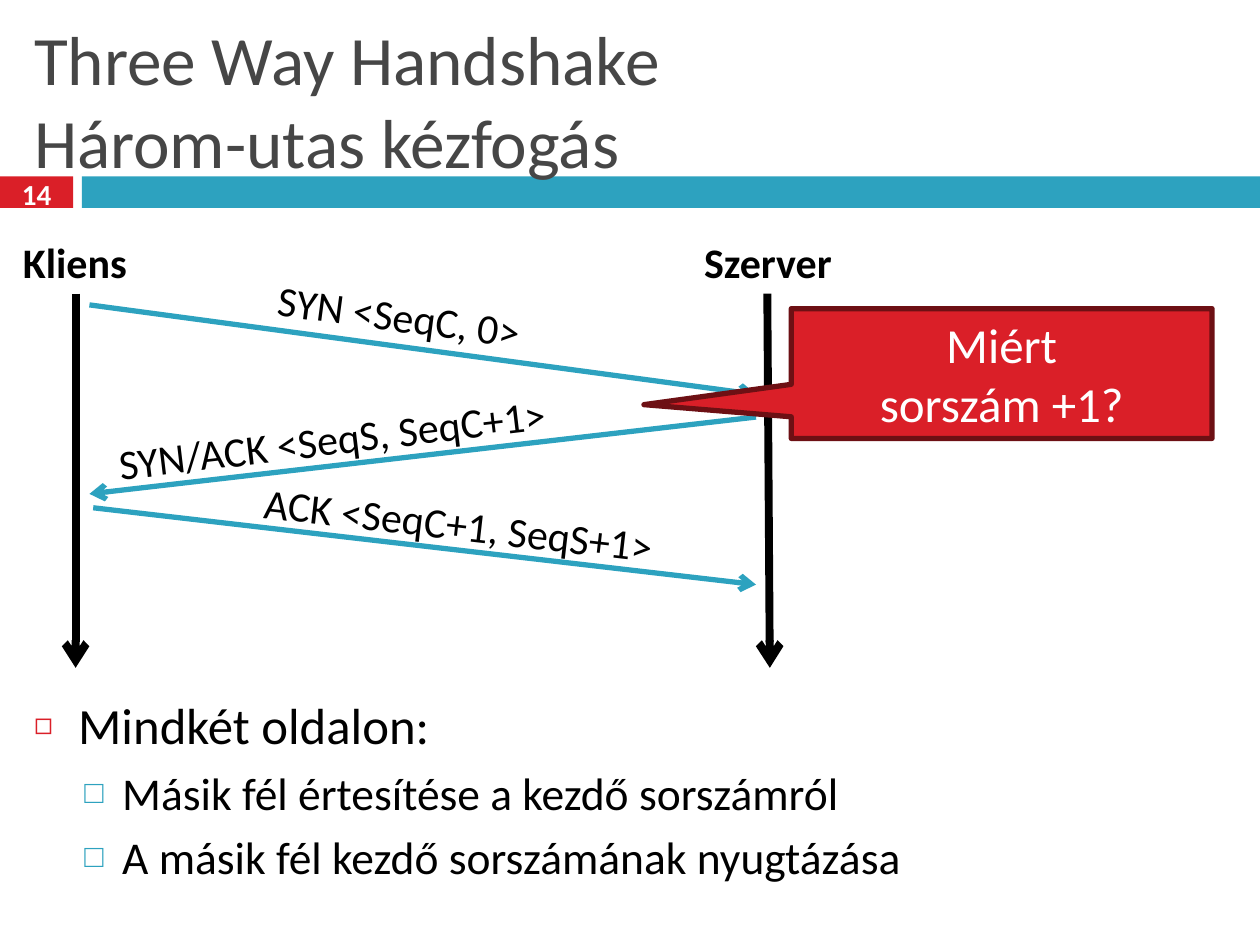
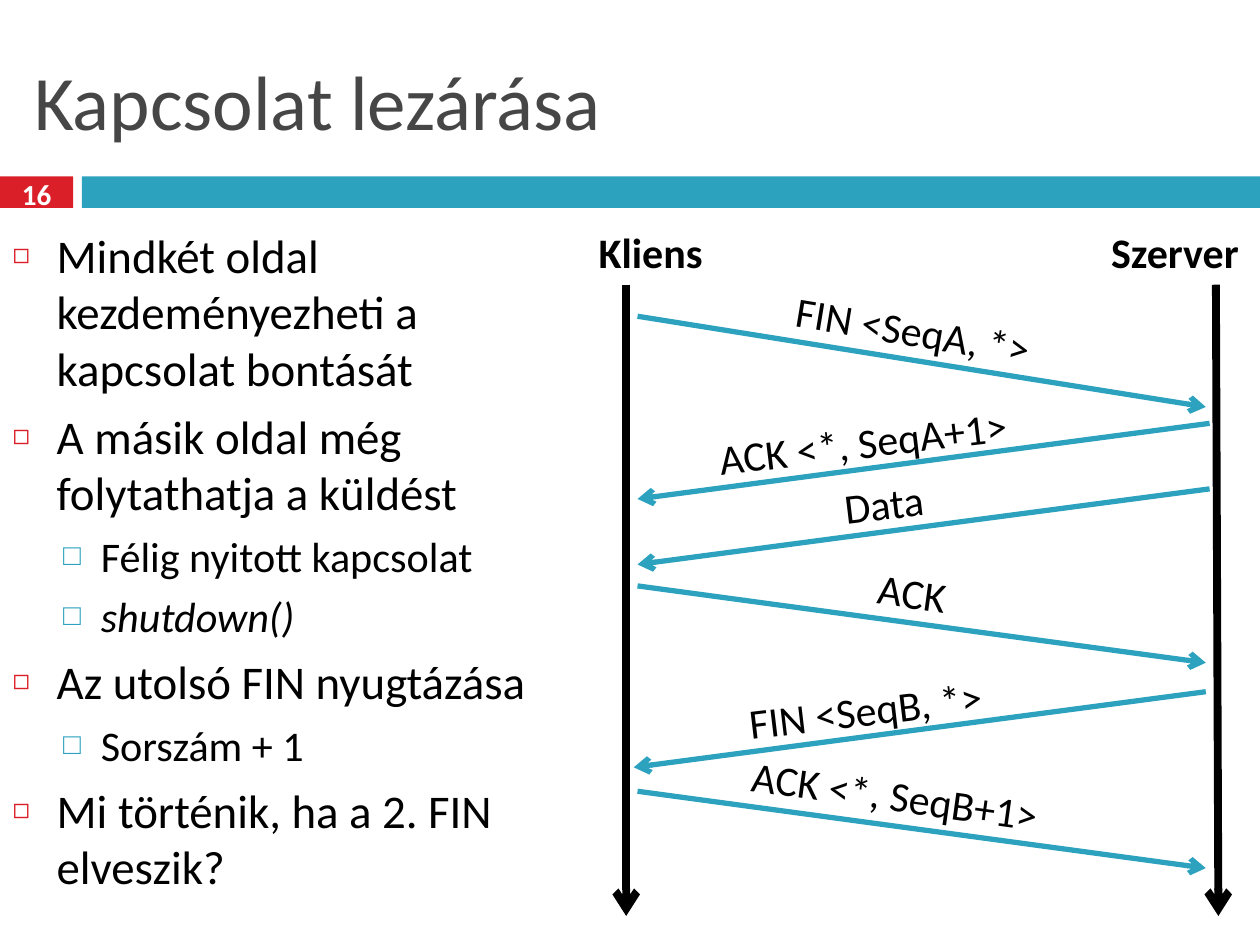
import pptx
import pptx.util
import pptx.dml.color
import pptx.enum.shapes
import pptx.enum.text
import pptx.oxml
import pptx.oxml.ns
import lxml.etree

Inches = pptx.util.Inches
Pt = pptx.util.Pt
SHAPE = pptx.enum.shapes.MSO_SHAPE
ALIGN = pptx.enum.text.PP_ALIGN
ANCHOR = pptx.enum.text.MSO_ANCHOR
AUTOSIZE = pptx.enum.text.MSO_AUTO_SIZE
qn = pptx.oxml.ns.qn

# Shared look
FONT = "Calibri"
RED, DARK_RED, BLUE = "DA1F28", "6D1014", "2DA2BF"
BLACK, WHITE, GREY = "000000", "FFFFFF", "464646"
# Per list level: left indent, hanging, space before, bullet, its colour and size
LEVELS = [(0.35, 0.35, 7, "◻", RED, 60),
          (0.70, 0.30, 5.5, "□", BLUE, 70)]


def paint(target, colour):
    """Give a fill, line fill or font a solid colour from a hex string."""
    if hasattr(target, "solid"):
        target.solid()
        target = target.fore_color
    else:
        target = target.color
    target.rgb = pptx.dml.color.RGBColor.from_string(colour)


def write(shape, text, size, colour=BLACK, bold=False, align=ALIGN.LEFT, anchor=ANCHOR.TOP, wrap=True):
    """Set the text of a shape and format all its runs."""
    tf = shape.text_frame
    tf.text = text
    tf.word_wrap = wrap
    tf.auto_size = AUTOSIZE.NONE
    tf.vertical_anchor = anchor
    for p in tf.paragraphs:
        p.alignment = align
        for r in p.runs:
            r.font.name = FONT
            r.font.size = Pt(size)
            r.font.bold = bold
            paint(r.font, colour)


# Content of the slides; lifelines and messages are (x1, y1, x2, y2),
# a message label is (text, left, top, width, rotation)
slides = [
    dict(
        number="14", title="Three Way Handshake\nHárom-utas kézfogás", title_size=39.6,
        body_at=(0.17, 5.46, 9.67, 1.88), sizes=(29, 26),
        body=[(0, "Mindkét oldalon:"),
              (1, "Másik fél értesítése a kezdő sorszámról"),
              (1, "A másik fél kezdő sorszámának nyugtázása")],
        lifelines=[(0.6, 2.33, 0.6, 5.3), (6.09, 2.33, 6.11, 5.3)],
        hosts=[("Kliens", 0.06, 1.83, 1.07), ("Szerver", 5.47, 1.83, 1.25)],
        messages=[
            ((0.71, 2.42, 6, 3.13), ("SYN <SeqC, 0>", 2.1, 2.29, 2.69, 7.6)),
            ((6, 3.31, 0.71, 3.92), ("SYN/ACK <SeqS, SeqC+1>", 0.83, 3.18, 4.4, -6.9)),
            ((0.74, 4.03, 6, 4.64), ("ACK <SeqC+1, SeqS+1>", 1.99, 3.95, 4, 6.6))],
        callout="Miért\nsorszám +1?"),
    dict(
        number="16", title="Kapcsolat lezárása", title_size=44,
        body_at=(0, 1.75, 4.59, 5.58), sizes=(26.8, 24.1),
        body=[(0, "Mindkét oldal kezdeményezheti a kapcsolat bontását"),
              (0, "A másik oldal még folytathatja a küldést"),
              (1, "Félig nyitott kapcsolat"),
              (1, "shutdown()"),
              (0, "Az utolsó FIN nyugtázása"),
              (1, "Sorszám + 1"),
              (0, "Mi történik, ha a 2. FIN elveszik?")],
        lifelines=[(4.97, 2.26, 4.97, 7.27), (9.65, 2.26, 9.67, 7.27)],
        hosts=[("Kliens", 4.63, 1.75, 1.07), ("Szerver", 8.7, 1.75, 1.25)],
        messages=[
            ((5.06, 2.51, 9.57, 3.23), ("FIN <SeqA, *>", 6.21, 2.39, 2.37, 9.4)),
            ((9.6, 3.36, 5.06, 3.96), ("ACK <*, SeqA+1>", 5.6, 3.23, 2.91, -6.9)),
            ((5.06, 4.65, 9.57, 5.26), ("ACK", 6.87, 4.46, 0.89, 8)),
            ((9.6, 3.88, 5.06, 4.48), ("Data", 6.6, 3.74, 0.91, -6.9)),
            ((9.57, 5.49, 5.03, 6.09), ("FIN <SeqB, *>", 5.84, 5.36, 2.37, -6.9)),
            ((5.06, 6.28, 9.57, 6.89), ("ACK <*, SeqB+1>", 5.86, 6.09, 2.91, 8))],
        callout=None),
]

prs = pptx.Presentation()
prs.slide_width, prs.slide_height = Inches(10), Inches(7.5)
layout = prs.slide_layouts[1]

for index, content in enumerate(slides):
    s = prs.slides.add_slide(layout)

    # Bands, made once and moved to the shared layout
    if index == 0:
        for left, width, colour in [(0, 0.58, RED), (0.65, 9.35, BLUE)]:
            band = s.shapes.add_shape(SHAPE.RECTANGLE, Inches(left), Inches(1.4), Inches(width), Inches(0.25))
            band.shadow.inherit = False
            paint(band.fill, colour)
            band.line.fill.background()
            layout.shapes.element.insert(2, band.element)

    # Title
    title, body = s.placeholders
    title.left, title.top, title.width, title.height = map(Inches, (0.17, 0.25, 9.67, 1.08))
    write(title, content["title"], content["title_size"], GREY, anchor=ANCHOR.MIDDLE)

    # Slide number
    number = s.shapes.add_textbox(Inches(0), Inches(1.37), Inches(0.58), Inches(0.33))
    write(number, content["number"], 16.6, WHITE, True, ALIGN.CENTER, ANCHOR.MIDDLE)

    # Bulleted list
    body.left, body.top, body.width, body.height = map(Inches, content["body_at"])
    write(body, "\n".join(text for level, text in content["body"]), content["sizes"][0])
    for p, (level, text) in zip(body.text_frame.paragraphs, content["body"]):
        indent, hanging, before, bullet, colour, percent = LEVELS[level]
        p.level = level
        p.space_before = Pt(before)
        p.runs[0].font.size = Pt(content["sizes"][level])
        if text == "shutdown()":
            p.runs[0].font.italic = True
        pPr = p._p.get_or_add_pPr()
        pPr.set("marL", str(Inches(indent)))
        pPr.set("indent", str(-Inches(hanging)))
        clr = lxml.etree.SubElement(pPr, qn("a:buClr"))
        lxml.etree.SubElement(clr, qn("a:srgbClr"), val=colour)
        lxml.etree.SubElement(pPr, qn("a:buSzPct"), val=str(percent * 1000))
        lxml.etree.SubElement(pPr, qn("a:buChar"), char=bullet)

    # Lifelines and message arrows
    arrows = [(ends, BLACK, 4.5) for ends in content["lifelines"]]
    arrows += [(ends, BLUE, 3) for ends, label in content["messages"]]
    for ends, colour, weight in arrows:
        arrow = s.shapes.add_connector(pptx.enum.shapes.MSO_CONNECTOR.STRAIGHT, *map(Inches, ends))
        paint(arrow.line.fill, colour)
        arrow.line.width = Pt(weight)
        lxml.etree.SubElement(arrow.line._get_or_add_ln(), qn("a:tailEnd"), type="arrow")
        lxml.etree.SubElement(arrow.element.spPr, qn("a:effectLst"))

    # Host names and message labels
    labels = [(host + (0,), True, ALIGN.CENTER) for host in content["hosts"]]
    labels += [(label, False, ALIGN.LEFT) for ends, label in content["messages"]]
    for (text, left, top, width, rotation), bold, align in labels:
        label = s.shapes.add_textbox(Inches(left), Inches(top), Inches(width), Inches(0.5))
        label.rotation = rotation
        write(label, text, 24, bold=bold, align=align, wrap=False)

    # Callout question
    if content["callout"]:
        callout = s.shapes.add_shape(SHAPE.RECTANGULAR_CALLOUT, Inches(6.28), Inches(2.45), Inches(3.34), Inches(1.03))
        callout.adjustments[0], callout.adjustments[1] = -0.85, 0.24
        callout.shadow.inherit = False
        paint(callout.fill, RED)
        paint(callout.line.fill, DARK_RED)
        callout.line.width = Pt(3)
        write(callout, content["callout"], 28, WHITE, align=ALIGN.CENTER, anchor=ANCHOR.MIDDLE)

prs.save("out.pptx")
